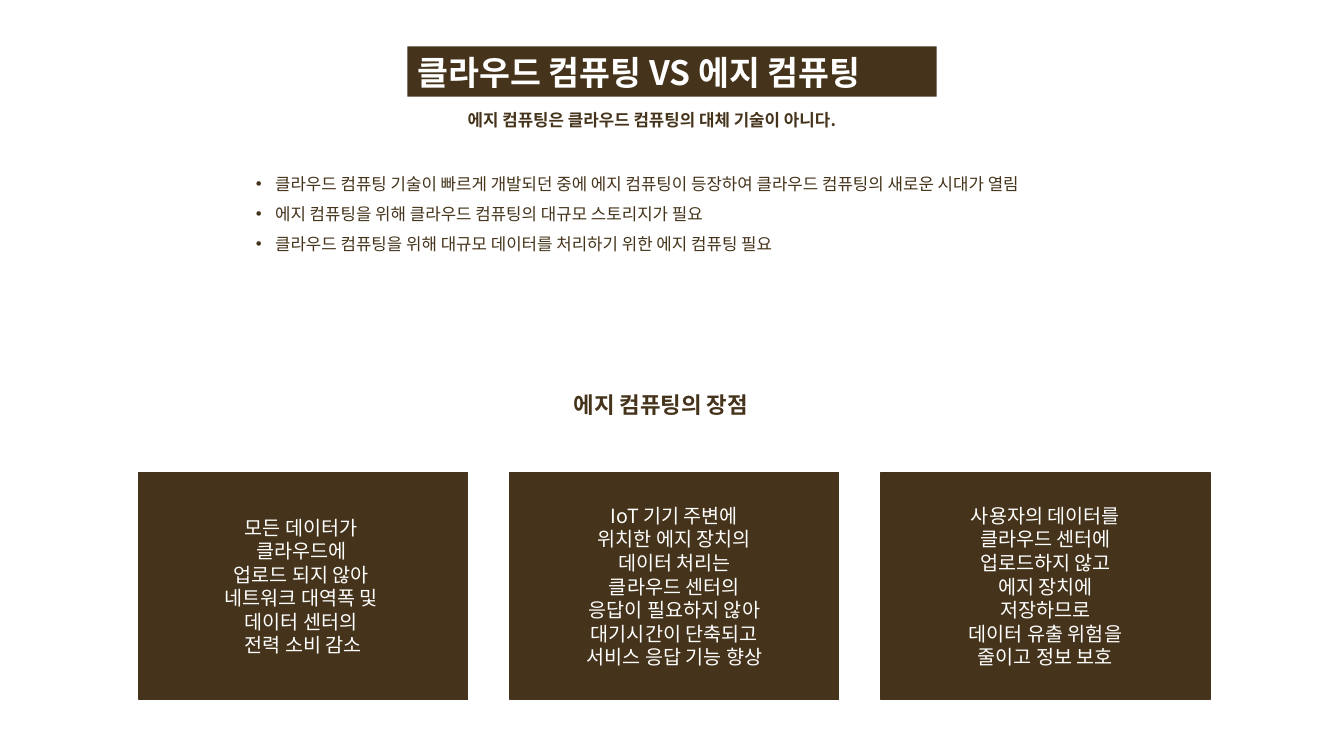
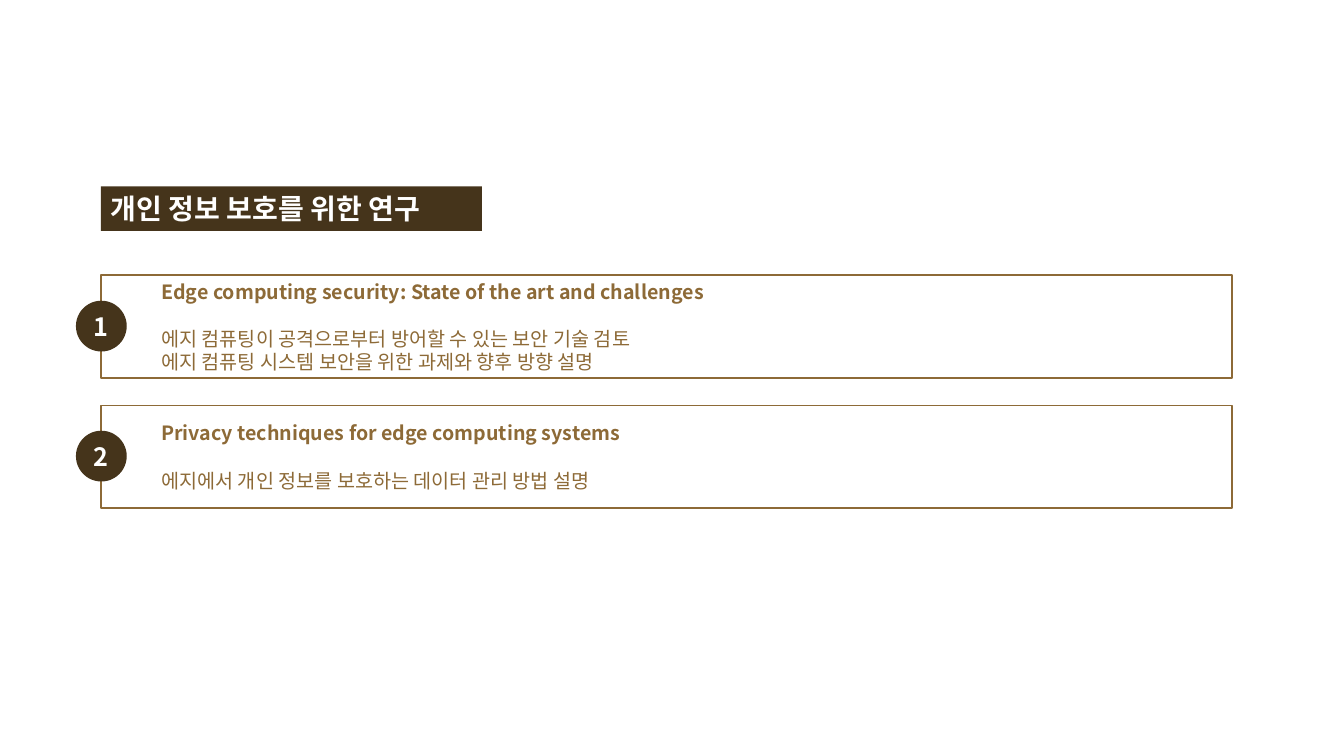
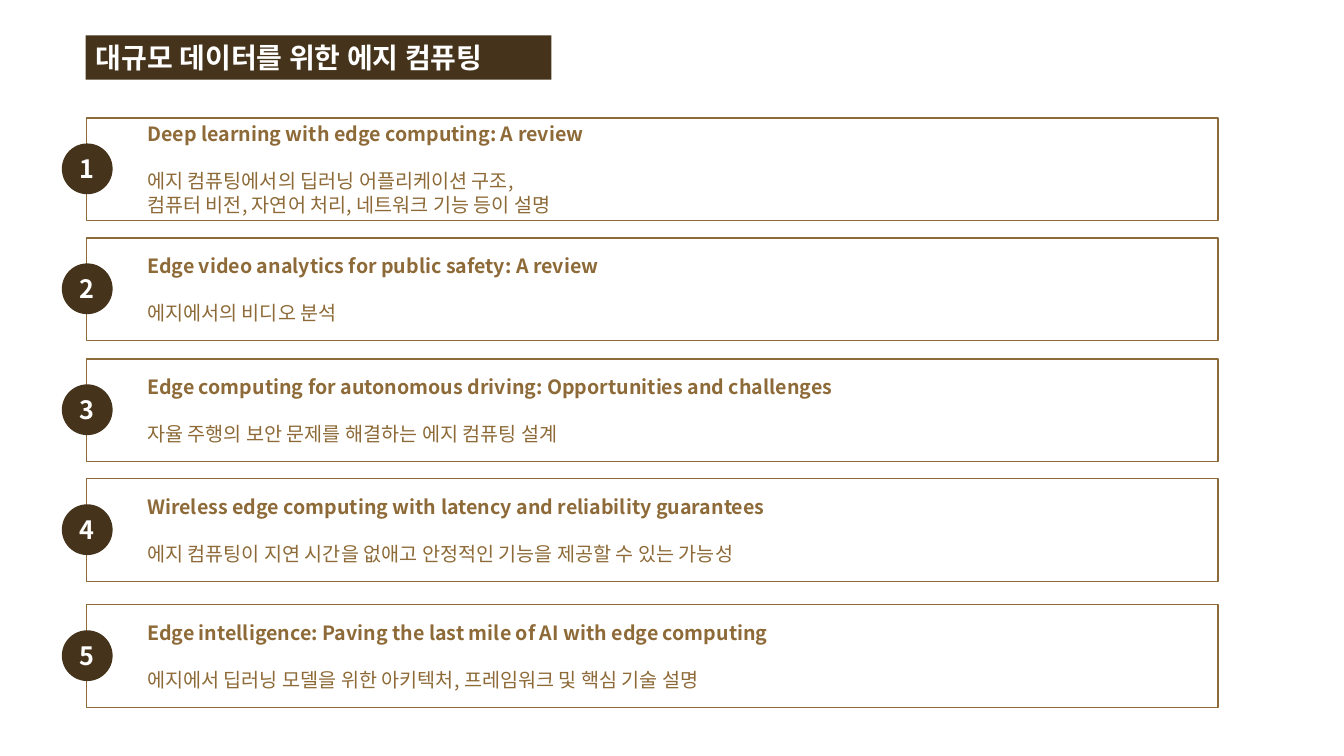
from pptx import Presentation, util as u
from pptx.dml.color import RGBColor
from pptx.enum import shapes as s, text as t
from pptx.oxml.ns import qn
from lxml import etree

hues = {"dark": "45341B", "tan": "8D6A37", "white": "FFFFFF"}
face = "Noto Sans CJK KR"
kinds = s.MSO_SHAPE
left, mid = t.PP_ALIGN.LEFT, t.PP_ALIGN.CENTER
top, centre = t.MSO_ANCHOR.TOP, t.MSO_ANCHOR.MIDDLE


def write(shape, lines, size, hue, bold=False, align=left, anchor=top, lead=1.2):
    frame = shape.text_frame
    frame.word_wrap = True
    frame.auto_size = t.MSO_AUTO_SIZE.NONE
    frame.vertical_anchor = anchor
    frame.margin_left = frame.margin_right = u.Inches(0.1)
    frame.margin_top = frame.margin_bottom = u.Inches(0.05)
    frame.text = "\n".join(lines)
    for para in frame.paragraphs:
        para.alignment = align
        para.line_spacing = u.Pt(size * lead)
        para.space_before = para.space_after = u.Pt(0)
        for run in para.runs:
            font = run.font
            font.name, font.size, font.bold = face, u.Pt(size), bold
            font.color.rgb = RGBColor.from_string(hues[hue])
            east = etree.SubElement(font._element, qn("a:ea"))
            east.set("typeface", face)
    return frame


def draw(slide, kind, box, fill, line):
    shape = slide.shapes.add_shape(kind, *map(u.Inches, box))
    shape.shadow.inherit = False
    shape.fill.solid()
    shape.fill.fore_color.rgb = RGBColor.from_string(hues[fill])
    shape.line.color.rgb = RGBColor.from_string(hues[line])
    shape.line.width = u.Pt(1)
    return shape


deck = Presentation()
deck.slide_width, deck.slide_height = u.Inches(13.33), u.Inches(7.5)

heads = [
    ("클라우드 컴퓨팅 VS 에지 컴퓨팅", 24, (4.04, 0.46, 5.25, 0.5)),
    ("개인 정보 보호를 위한 연구", 20, (1, 1.85, 3.78, 0.44)),
    ("대규모 데이터를 위한 에지 컴퓨팅", 20, (0.85, 0.35, 4.62, 0.44)),
]
pages = []
for name, size, box in heads:
    page = deck.slides.add_slide(deck.slide_layouts[5])
    title = page.shapes.title
    title.left, title.top, title.width, title.height = map(u.Inches, box)
    title.fill.solid()
    title.fill.fore_color.rgb = RGBColor.from_string(hues["dark"])
    write(title, [name], size, "white", bold=True)
    pages.append(page)

first = pages[0]
notes = [
    ("에지 컴퓨팅은 클라우드 컴퓨팅의 대체 기술이 아니다.", 12, (4.54, 1.04, 4.31, 0.3)),
    ("에지 컴퓨팅의 장점", 16, (5.59, 3.83, 2.15, 0.37)),
]
for words, size, box in notes:
    note = first.shapes.add_textbox(*map(u.Inches, box))
    write(note, [words], size, "dark", bold=True)

points = [
    "클라우드 컴퓨팅 기술이 빠르게 개발되던 중에 에지 컴퓨팅이 등장하여 클라우드 컴퓨팅의 새로운 시대가 열림",
    "에지 컴퓨팅을 위해 클라우드 컴퓨팅의 대규모 스토리지가 필요",
    "클라우드 컴퓨팅을 위해 대규모 데이터를 처리하기 위한 에지 컴퓨팅 필요",
]
area = first.shapes.add_textbox(*map(u.Inches, (2.44, 1.57, 8.74, 0.97)))
frame = write(area, points, 12, "dark", lead=1.8)
for para in frame.paragraphs:
    props = para._p.get_or_add_pPr()
    props.set("marL", str(u.Inches(0.19)))
    props.set("indent", str(-u.Inches(0.19)))
    etree.SubElement(props, qn("a:buFont")).set("typeface", "Arial")
    etree.SubElement(props, qn("a:buChar")).set("char", "•")

cards = [
    ["모든 데이터가 ", "클라우드에 ", "업로드 되지 않아 ", "네트워크 대역폭 및 ",
     "데이터 센터의 ", "전력 소비 감소"],
    ["IoT 기기 주변에", "위치한 에지 장치의", "데이터 처리는", "클라우드 센터의",
     "응답이 필요하지 않아", "대기시간이 단축되고", "서비스 응답 기능 향상"],
    ["사용자의 데이터를", "클라우드 센터에", "업로드하지 않고", "에지 장치에",
     "저장하므로", "데이터 유출 위험을", "줄이고 정보 보호"],
]
for i, lines in enumerate(cards):
    card = draw(first, kinds.RECTANGLE, (1.38 + i * 3.68, 4.69, 3.26, 2.25), "dark", "dark")
    write(card, lines, 14, "white", align=mid, anchor=centre)

lists = [
    (pages[1], 1, [
        (2.73, ["Edge computing security: State of the art and challenges",
                "에지 컴퓨팅이 공격으로부터 방어할 수 있는 보안 기술 검토",
                "에지 컴퓨팅 시스템 보안을 위한 과제와 향후 방향 설명"]),
        (4.02, ["Privacy techniques for edge computing systems",
                "에지에서 개인 정보를 보호하는 데이터 관리 방법 설명"]),
    ]),
    (pages[2], 0.86, [
        (1.17, ["Deep learning with edge computing: A review",
                "에지 컴퓨팅에서의 딥러닝 어플리케이션 구조,",
                "컴퓨터 비전, 자연어 처리, 네트워크 기능 등이 설명"]),
        (2.36, ["Edge video analytics for public safety: A review",
                "에지에서의 비디오 분석"]),
        (3.56, ["Edge computing for autonomous driving: Opportunities and challenges",
                "자율 주행의 보안 문제를 해결하는 에지 컴퓨팅 설계"]),
        (4.75, ["Wireless edge computing with latency and reliability guarantees",
                "에지 컴퓨팅이 지연 시간을 없애고 안정적인 기능을 제공할 수 있는 가능성"]),
        (6, ["Edge intelligence: Paving the last mile of AI with edge computing",
             "에지에서 딥러닝 모델을 위한 아키텍처, 프레임워크 및 핵심 기술 설명"]),
    ]),
]
for page, x, papers in lists:
    for num, (y, lines) in enumerate(papers, 1):
        panel = draw(page, kinds.RECTANGLE, (x, y, 11.22, 1.02), "white", "tan")
        frame = write(panel, lines, 14, "tan", anchor=centre)
        frame.margin_left = u.Inches(0.6)
        paper = frame.paragraphs[0]
        paper.space_after = u.Pt(16.8)
        paper.runs[0].font.bold = True
        badge = draw(page, kinds.OVAL, (x - 0.24, y + 0.26, 0.49, 0.49), "dark", "dark")
        write(badge, [str(num)], 18, "white", bold=True, align=mid, anchor=centre)

deck.save("out.pptx")
